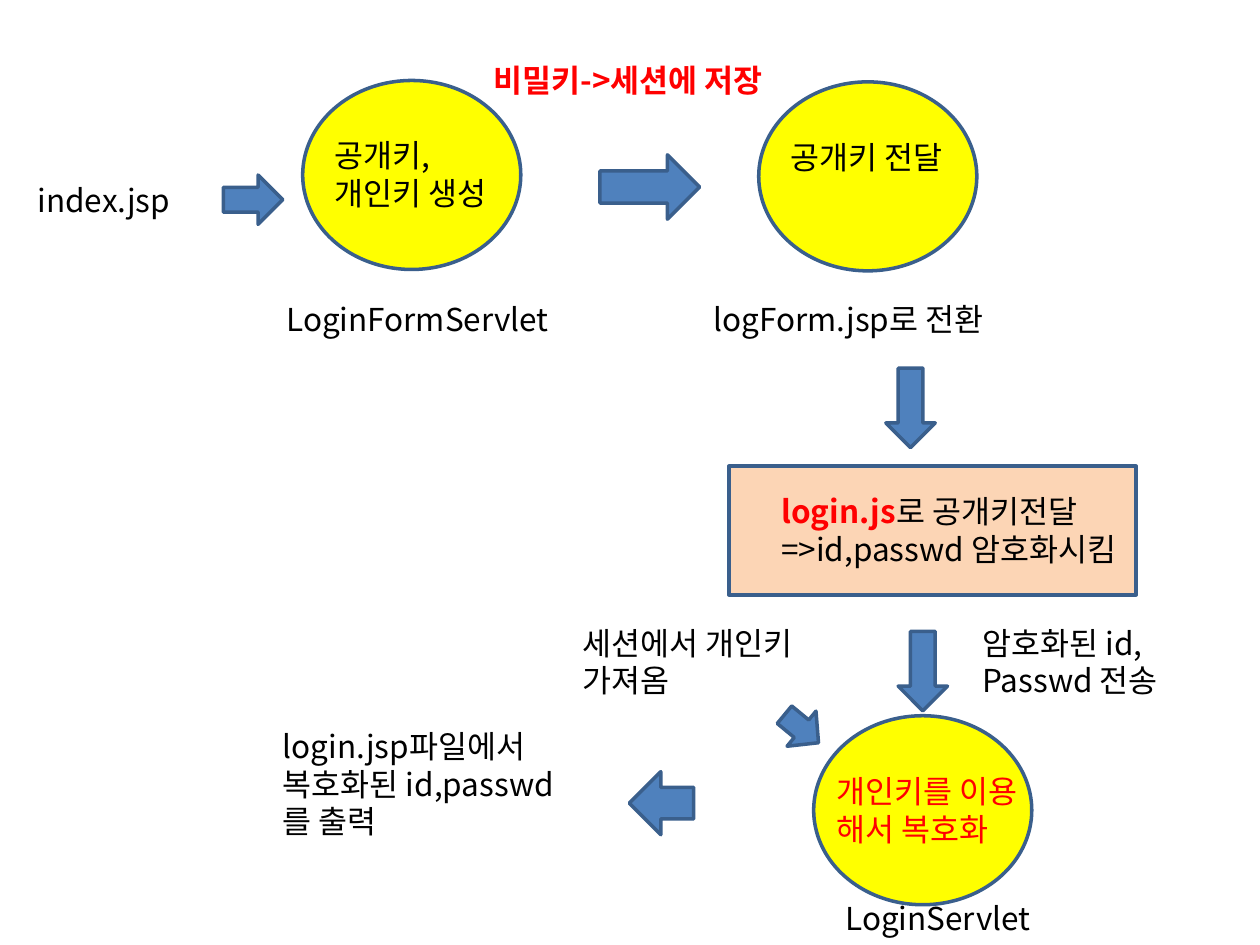
import pptx
import pptx.dml.color
import pptx.enum.shapes
import pptx.enum.text
import pptx.oxml
import pptx.oxml.ns
import pptx.util
from dataclasses import dataclass

Pt = pptx.util.Pt
Shape = pptx.enum.shapes.MSO_SHAPE
Color = pptx.dml.color.RGBColor


@dataclass(frozen=True)
class Theme:
    font: str = "Noto Sans CJK KR"
    size: float = 18
    outline_width: float = 2
    text: Color = Color(0, 0, 0)
    accent: Color = Color(255, 0, 0)
    outline: Color = Color(0x3A, 0x5F, 0x8C)
    step: Color = Color(255, 255, 0)
    arrow: Color = Color(0x4F, 0x81, 0xBD)
    script: Color = Color(0xFC, 0xD5, 0xB5)


THEME = Theme()


@dataclass(frozen=True)
class Figure:
    kind: Shape
    left: float
    top: float
    width: float
    height: float
    fill: Color = THEME.arrow
    rotation: float = 0


@dataclass(frozen=True)
class Span:
    text: str
    color: Color = THEME.text
    bold: bool = False


@dataclass(frozen=True)
class Label:
    left: float
    top: float
    width: float
    height: float
    lines: tuple[tuple[Span, ...], ...]


def step_circle(left: float, top: float) -> Figure:
    return Figure(Shape.OVAL, left, top, 124.6, 108, THEME.step)


def down_arrow(left: float, top: float) -> Figure:
    return Figure(Shape.DOWN_ARROW, left, top, 28.2, 45.4)


def plain(*texts: str, color: Color = THEME.text) -> tuple[tuple[Span, ...], ...]:
    """One single-span line for each text."""
    return tuple((Span(text, color),) for text in texts)


FIGURES = [
    # Servlet and page steps
    step_circle(173, 46),
    step_circle(433.6, 46.8),
    step_circle(465, 409),
    # Client-side encryption
    Figure(Shape.RECTANGLE, 416.6, 266.4, 232.6, 73.6, THEME.script),
    # Arrows along the flow
    Figure(Shape.RIGHT_ARROW, 127.6, 100, 34, 28.2),
    Figure(Shape.RIGHT_ARROW, 342.8, 88.5, 57, 36.8),
    down_arrow(506.2, 210.4),
    down_arrow(513.2, 360.8),
    Figure(Shape.DOWN_ARROW, 360, 440.6, 36, 36.8, rotation=90),
    Figure(Shape.DOWN_ARROW, 445, 403.8, 26, 25.2, rotation=309.5),
]

ONE_LINE, TWO_LINES, THREE_LINES = 29, 51, 72.7

LABELS = [
    # Key creation
    Label(14.4, 100, 102, ONE_LINE, plain("index.jsp")),
    Label(184.3, 74.2, 113, TWO_LINES, plain("공개키,", "개인키 생성")),
    Label(156.6, 168, 172, ONE_LINE, plain("LoginFormServlet")),
    Label(275, 31.5, 211, ONE_LINE,
          ((Span("비밀키->세션에 저장", THEME.accent, True),),)),
    # Public key delivery and encryption
    Label(444.8, 75.3, 113, ONE_LINE, plain("공개키 전달")),
    Label(400.8, 168, 204, ONE_LINE, plain("logForm.jsp로 전환")),
    Label(439.4, 277.8, 224, TWO_LINES,
          ((Span("login.js", THEME.accent, True), Span("로 공개키전달")),
           (Span("=>id,passwd 암호화시킴"),))),
    Label(554.4, 352.8, 134.6, TWO_LINES, plain("암호화된 id,", "Passwd 전송")),
    # Decryption and output
    Label(326, 352.8, 158.4, TWO_LINES, plain("세션에서 개인키 가져옴")),
    Label(470.8, 437.8, 134.6, TWO_LINES,
          plain("개인키를 이용", "해서 복호화", color=THEME.accent)),
    Label(476, 510.3, 164, ONE_LINE, plain("LoginServlet")),
    Label(154.6, 411.8, 172.8, THREE_LINES,
          plain("login.jsp파일에서 복호화된 id,passwd를 출력")),
]


def draw_figure(page: pptx.slide.Slide, figure: Figure) -> None:
    shape = page.shapes.add_shape(figure.kind, Pt(figure.left), Pt(figure.top),
                                  Pt(figure.width), Pt(figure.height))
    shape.shadow.inherit = False
    shape.rotation = figure.rotation
    shape.fill.solid()
    shape.fill.fore_color.rgb = figure.fill
    shape.line.color.rgb = THEME.outline
    shape.line.width = Pt(THEME.outline_width)


def add_span(para: pptx.text.text._Paragraph, span: Span) -> None:
    run = para.add_run()
    run.text = span.text
    run.font.name = THEME.font
    run.font.size = Pt(THEME.size)
    run.font.bold = span.bold
    run.font.color.rgb = span.color
    # Hangul takes its typeface from the East Asian slot
    east_asian = pptx.oxml.parse_xml(
        f'<a:ea {pptx.oxml.ns.nsdecls("a")} typeface="{THEME.font}"/>')
    run.font._element.find(pptx.oxml.ns.qn("a:latin")).addnext(east_asian)


def draw_label(page: pptx.slide.Slide, label: Label) -> None:
    box = page.shapes.add_textbox(Pt(label.left), Pt(label.top),
                                  Pt(label.width), Pt(label.height))
    frame = box.text_frame
    frame.word_wrap = True
    frame.auto_size = pptx.enum.text.MSO_AUTO_SIZE.SHAPE_TO_FIT_TEXT
    for index, line in enumerate(label.lines):
        para = frame.add_paragraph() if index else frame.paragraphs[0]
        for span in line:
            add_span(para, span)


def main() -> None:
    deck = pptx.Presentation()
    deck.slide_width, deck.slide_height = Pt(720), Pt(540)
    page = deck.slides.add_slide(deck.slide_layouts[6])
    for figure in FIGURES:
        draw_figure(page, figure)
    for label in LABELS:
        draw_label(page, label)
    deck.save("out.pptx")


if __name__ == "__main__":
    main()
